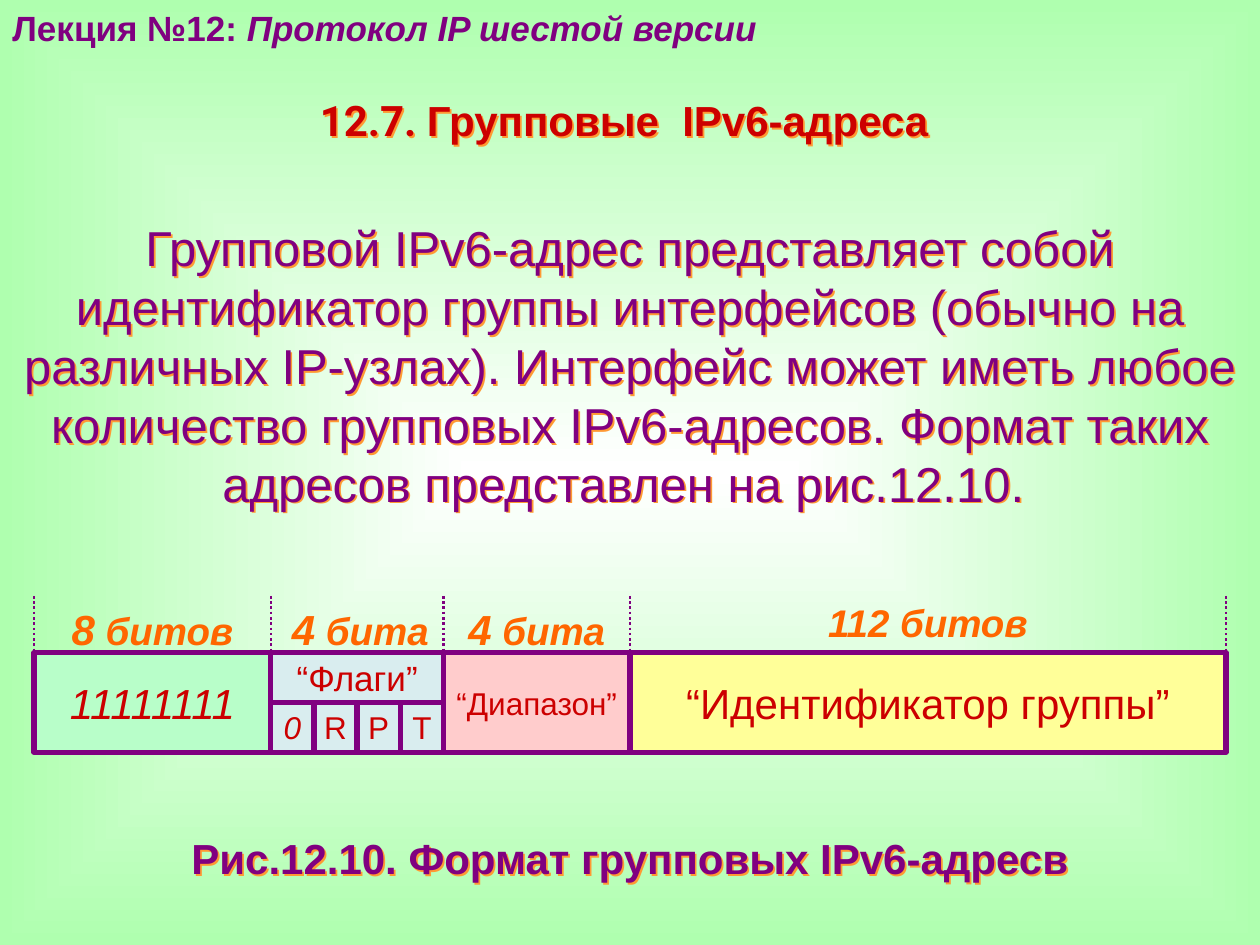
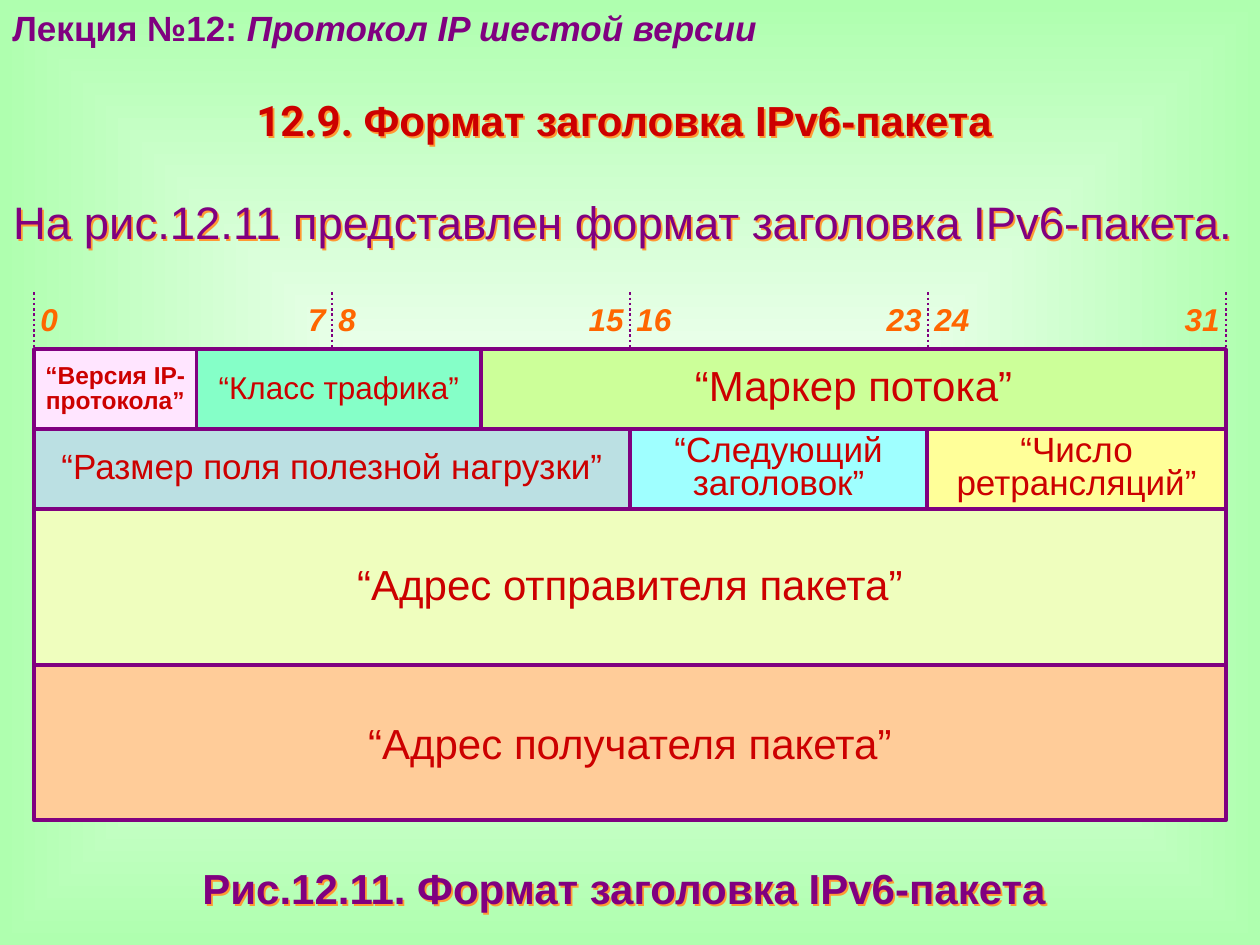
from dataclasses import dataclass
from itertools import pairwise
from lxml.etree import SubElement
from pptx import Presentation
from pptx.dml.color import RGBColor as Rgb
from pptx.enum.dml import MSO_LINE as Dash
from pptx.enum.shapes import MSO_CONNECTOR as Link, MSO_SHAPE as Form
from pptx.enum.text import MSO_ANCHOR as Anchor, PP_ALIGN as Align
from pptx.oxml import parse_xml
from pptx.oxml.ns import nsdecls, qn
from pptx.util import Inches, Pt


@dataclass(frozen=True)
class Theme:
    font: str = "Arial"
    digits: str = "Roboto"
    main: str = "800080"
    accent: str = "CC0000"
    bits: str = "FF6600"
    glow: str = "FF9933"
    inner: str = "FFFFFF"
    outer: str = "AFFFAF"
    small: int = 18
    mid: int = 20
    label: int = 22
    head: int = 24


T = Theme()

# Content
LECTURE = [("Лекция №12: ", {}), ("Протокол IP шестой версии", {"italic": True})]
GROUP = {
    "title": ("12.7. ", "Групповые  IPv6-адреса "),
    "body": "Групповой IPv6-адрес представляет собой идентификатор группы интерфейсов "
            "(обычно на различных IP-узлах). Интерфейс может иметь любое количество "
            "групповых IPv6-адресов. Формат таких адресов представлен на рис.12.10. ",
    "place": (1.68, 2.44, 28),
    "note": ("Рис.12.10. Формат групповых IPv6-адресв", 6.56),
}
HEADER = {
    "title": ("12.9. ", "Формат заголовка IPv6-пакета "),
    "body": "На рис.12.11 представлен формат заголовка IPv6-пакета. ",
    "place": (1.49, 0.53, 26),
    "note": ("Рис.12.11. Формат заголовка IPv6-пакета ", 6.8),
}
LEFT, RIGHT = 0.27, 9.73

# Address fields: text, fill, format
EDGES = [LEFT, 2.15, 3.52, 5, RIGHT]
FIELDS = [
    ("11111111", "B8FEC9", {"italic": True}),
    ("“Флаги”", "D9EDEF", {"size": T.mid}),
    ("“Диапазон”", "FFCCCC", {"size": T.small}),
    ("“Идентификатор группы”", "FFFF99", {}),
]
FLAGS = "0RPT"
# Field lengths: number, word, top, extra width
SIZES = [("8", " битов", 4.78, 0), ("4", " бита", 4.78, 0.05),
         ("4", " бита", 4.78, 0), ("112", " битов", 4.73, 0)]

# Packet header rows: height, edges, cells
ROWS = [
    (0.635, [LEFT, 1.56, 3.82, RIGHT], [
        ("“Версия IP-протокола”", "FFE5FF", {"size": 14, "bold": True, "lead": 0.85}),
        ("“Класс трафика”", "85FFC8", {"size": T.small, "lead": 0.9}),
        ("“Маркер потока”", "CCFF99", {"lead": 0.85})]),
    (0.635, [LEFT, 5, 7.36, RIGHT], [
        ("“Размер поля полезной нагрузки”", "BBE0E3", {"size": T.mid, "lead": 0.85}),
        ("“Следующий\nзаголовок”", "9FFFFF", {"size": T.mid, "lead": 0.8}),
        ("“Число ретрансляций”", "FFFF99", {"size": T.mid, "lead": 0.8})]),
    (1.235, [LEFT, RIGHT], [("“Адрес отправителя пакета”", "EFFEBE", {"lead": 0.9})]),
    (1.235, [LEFT, RIGHT], [("“Адрес получателя пакета”", "FFCC99", {})]),
]


def write(shape, text, size=T.head, color=T.main, font=T.font, bold=False,
          italic=False, align=Align.CENTER, lead=None, pad=None, tab=None):
    """Fill a shape with text: a string, or a list of (string, changes)."""
    frame = shape.text_frame
    frame.word_wrap = True
    if pad is not None:
        frame.margin_left = frame.margin_right = Inches(pad)
        frame.margin_top = frame.margin_bottom = 0
        frame.vertical_anchor = Anchor.MIDDLE
    base = {"size": size, "color": color, "name": font, "bold": bold, "italic": italic}
    lines = [[(s, {})] for s in text.split("\n")] if isinstance(text, str) else [text]
    for i, runs in enumerate(lines):
        para = frame.add_paragraph() if i else frame.paragraphs[0]
        para.alignment = align
        if lead:
            para.line_spacing = lead
        if tab:
            stops = SubElement(para._p.get_or_add_pPr(), qn("a:tabLst"))
            SubElement(stops, qn("a:tab"), pos=str(Inches(tab)), algn="r")
        for part, changes in runs:
            look = base | changes
            run = para.add_run()
            run.text = part
            run.font.size = Pt(look["size"])
            run.font.color.rgb = Rgb.from_string(look["color"])
            run.font.name = look["name"]
            run.font.bold, run.font.italic = look["bold"], look["italic"]


def label(slide, text, x, y, w, h, glow=False, **look):
    box = slide.shapes.add_textbox(*map(Inches, (x, y, w, h)))
    if glow:
        box.shadow.inherit = False
        effects = box._element.spPr.find(qn("a:effectLst"))
        effects.append(parse_xml(
            f'<a:outerShdw {nsdecls("a")} dist="17961" dir="2700000" algn="ctr" '
            f'rotWithShape="0"><a:srgbClr val="{T.glow}"/></a:outerShdw>'))
    write(box, text, **look)


def cell(slide, text, fill, x, y, w, h, line=3, **look):
    box = slide.shapes.add_shape(Form.RECTANGLE, *map(Inches, (x, y, w, h)))
    box.shadow.inherit = False
    box.fill.solid()
    box.fill.fore_color.rgb = Rgb.from_string(fill)
    box.line.color.rgb = Rgb.from_string(T.main)
    box.line.width = Pt(line)
    write(box, text, color=T.accent, pad=0, **look)


def ticks(slide, edges, top):
    for x in edges:
        tick = slide.shapes.add_connector(
            Link.STRAIGHT, *map(Inches, (x, top, x, top + 0.6)))
        tick.line.color.rgb = Rgb.from_string(T.main)
        tick.line.width = Pt(1.5)
        tick.line.dash_style = Dash.ROUND_DOT
        SubElement(tick._element.spPr, qn("a:effectLst"))


def paint(master):
    """Give every slide the shared gradient."""
    master.background.fill.solid()
    solid = next(master.element.iter(qn("p:bgPr"))).find(qn("a:solidFill"))
    stops = "".join(f'<a:gs pos="{p}"><a:srgbClr val="{c}"/></a:gs>'
                    for p, c in ((0, T.inner), (100000, T.outer)))
    solid.getparent().replace(solid, parse_xml(
        f'<a:gradFill {nsdecls("a")} rotWithShape="0"><a:gsLst>{stops}</a:gsLst>'
        '<a:path path="shape"><a:fillToRect l="50000" t="50000" r="50000" b="50000"/>'
        '</a:path></a:gradFill>'))


def page(deck, data):
    slide = deck.slides.add_slide(deck.slide_layouts[6])
    number, name = data["title"]
    top, high, size = data["place"]
    note, low = data["note"]
    label(slide, LECTURE, 0, 0, 6.38, 0.43, size=T.mid, bold=True, align=Align.LEFT)
    label(slide, [(number, {"name": T.digits}), (name, {})], 0, 0.7, 10, 0.5,
          glow=True, color=T.accent, bold=True)
    label(slide, data["body"], 0, top, 10, high, glow=True, size=size)
    label(slide, note, 0, low, 10, 0.5, glow=True, bold=True)
    return slide


def draw_group(slide):
    top, high = 5.18, 0.79
    half = high / 2
    ticks(slide, EDGES, 4.73)
    for (x, end), field, (count, word, y, more) in zip(pairwise(EDGES), FIELDS, SIZES):
        text, fill, look = field
        flags = text == "“Флаги”"
        first = T.label if count == "112" else T.head
        label(slide, [(count, {"size": first}), (word, {})], x, y, end - x + more, 0.42,
              size=T.label, color=T.bits, bold=True, italic=True, pad=0)
        cell(slide, text, fill, x, top, end - x, half if flags else high, **look)
        if flags:
            wide = (end - x) / len(FLAGS)
            for i, flag in enumerate(FLAGS):
                cell(slide, flag, fill, x + i * wide, top + half, wide, half,
                     size=T.small, italic=flag == "0")


def draw_header(slide):
    # Bit scale: four bytes of equal width
    wide, pad = (RIGHT - LEFT) / 4, 0.05
    ticks(slide, [LEFT + i * wide for i in range(5)], 2.32)
    for i in range(4):
        label(slide, f"{8 * i}\t{8 * i + 7}", LEFT + i * wide, 2.32, wide, 0.42,
              size=T.small, color=T.bits, bold=True, italic=True,
              align=Align.LEFT, pad=pad, tab=wide - 2 * pad)
    # Rows of fields
    y = 2.77
    for high, edges, cells in ROWS:
        for (x, end), (text, fill, look) in zip(pairwise(edges), cells):
            cell(slide, text, fill, x, y, end - x, high, line=2.25, **look)
        y += high


def main():
    deck = Presentation()
    deck.slide_width, deck.slide_height = Inches(10), Inches(7.5)
    paint(deck.slide_master)
    draw_group(page(deck, GROUP))
    draw_header(page(deck, HEADER))
    deck.save("out.pptx")


if __name__ == "__main__":
    main()
